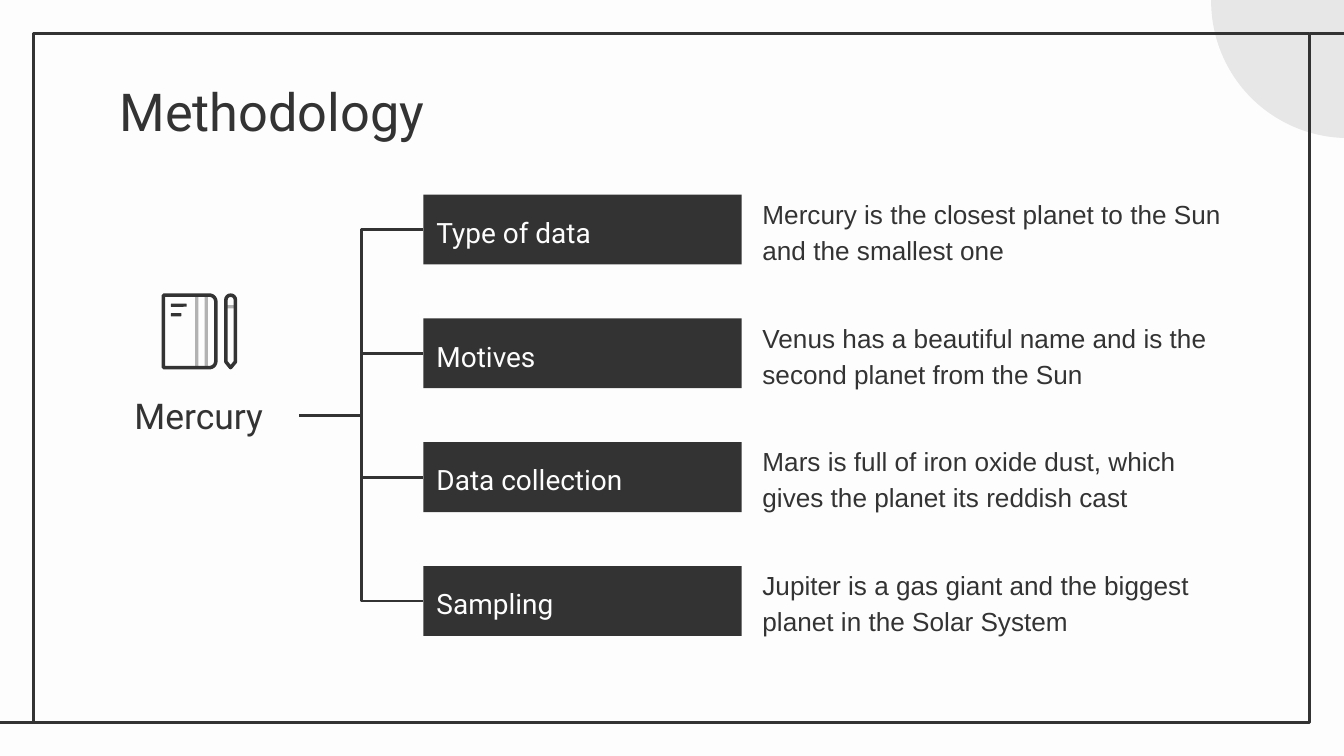
import math
from dataclasses import dataclass

from lxml import etree
from pptx import Presentation
from pptx import util as u
from pptx.dml import color
from pptx.enum import shapes, text
from pptx.oxml import ns

Cm = u.Cm


@dataclass(frozen=True)
class Theme:
    paper: str = "FDFDFD"
    ink: str = "333333"
    pale: str = "E8E7E7"
    grey: str = "B2B2B2"
    heading_font: str = "Roboto"
    body_font: str = "Arial"
    title_size: float = 28
    topic_size: float = 19
    label_size: float = 15
    body_size: float = 14
    rule: float = 1.5
    icon_stroke: float = 1.9


@dataclass(frozen=True)
class Box:
    """A region of the page, in centimetres."""
    left: float
    top: float
    width: float
    height: float

    @property
    def right(self):
        return self.left + self.width

    @property
    def bottom(self):
        return self.top + self.height

    def lengths(self):
        return [Cm(n) for n in (self.left, self.top, self.width, self.height)]


THEME = Theme()
ITEMS = [
    ("Type of data", "Mercury is the closest planet to the Sun and the smallest one"),
    ("Motives", "Venus has a beautiful name and is the second planet from the Sun"),
    ("Data collection", "Mars is full of iron oxide dust, which gives the planet its reddish cast"),
    ("Sampling", "Jupiter is a gas giant and the biggest planet in the Solar System"),
]


def rgb(value):
    return color.RGBColor.from_string(value)


def write(shape, words, size, font=THEME.heading_font, ink=THEME.ink,
          align=text.PP_ALIGN.LEFT, anchor=text.MSO_ANCHOR.MIDDLE, spacing=1.15):
    frame = shape.text_frame
    frame.word_wrap = True
    frame.auto_size = text.MSO_AUTO_SIZE.NONE
    frame.vertical_anchor = anchor
    frame.margin_left = frame.margin_right = Cm(0.25)
    frame.margin_top = frame.margin_bottom = Cm(0.25)
    para = frame.paragraphs[0]
    para.alignment = align
    para.line_spacing = spacing
    span = para.add_run()
    span.text = words
    span.font.name = font
    span.font.size = u.Pt(size)
    span.font.color.rgb = rgb(ink)


def style(shape, fill=None, line=None, weight=THEME.rule):
    shape.shadow.inherit = False
    if fill:
        shape.fill.solid()
        shape.fill.fore_color.rgb = rgb(fill)
    else:
        shape.fill.background()
    if line:
        shape.line.color.rgb = rgb(line)
        shape.line.width = u.Pt(weight)
    else:
        shape.line.fill.background()
    return shape


def add_block(page, box, kind=shapes.MSO_SHAPE.RECTANGLE, **look):
    return style(page.shapes.add_shape(kind, *box.lengths()), **look)


def add_text(page, box, words, size, **look):
    shape = page.shapes.add_textbox(*box.lengths())
    write(shape, words, size, **look)
    return shape


def add_rule(page, start=(0, 0), end=(0, 0), kind=shapes.MSO_CONNECTOR.STRAIGHT):
    rule = page.shapes.add_connector(kind, *[Cm(n) for n in (*start, *end)])
    rule.line.color.rgb = rgb(THEME.ink)
    rule.line.width = u.Pt(THEME.rule)
    etree.SubElement(rule._element.spPr, ns.qn("a:effectLst"))
    return rule


def arc(x, y, radius, first, last, steps=8):
    """Points on a circle, clockwise on the page, angles in degrees."""
    angles = [math.radians(first + (last - first) * i / steps) for i in range(steps + 1)]
    return [(x + radius * math.cos(a), y + radius * math.sin(a)) for a in angles]


def add_outline(page, box, points):
    placed = [(Cm(box.left + x), Cm(box.top + y)) for x, y in points]
    builder = page.shapes.build_freeform(*placed[0])
    builder.add_line_segments(placed[1:], close=True)
    style(builder.convert_to_shape(), line=THEME.ink, weight=THEME.icon_stroke)


def draw_frame(page, box, page_width):
    """Corner circle, border and the two rules that run off the page."""
    add_block(page, Box(22.89, -2.57, 5.18, 5.18), shapes.MSO_SHAPE.OVAL, fill=THEME.pale)
    add_block(page, box, line=THEME.ink)
    add_rule(page, (box.left, box.bottom), (0, box.bottom))
    add_rule(page, (page_width, box.top), (box.right, box.top))


def draw_title(page, box, words):
    title = page.shapes.title
    title.left, title.top, title.width, title.height = box.lengths()
    write(title, words, THEME.title_size, anchor=text.MSO_ANCHOR.TOP, spacing=1.0)


def draw_icon(page, box):
    """Notebook and pencil."""
    def part(x, y, width, height, **look):
        add_block(page, Box(box.left + x, box.top + y, width, height), **look)

    # Cover stripes and pencil band
    for x in (0.64, 0.82):
        part(x, 0.05, 0.06, 1.34, fill=THEME.grey)
    part(1.22, 0.23, 0.18, 0.06, fill=THEME.grey)

    # Notebook, rounded on its right side
    low, high, right, radius = 0.04, box.height - 0.04, 1.03, 0.12
    add_outline(page, box, [
        (low, high), (low, low),
        *arc(right - radius, low + radius, radius, -90, 0),
        *arc(right - radius, high - radius, radius, 0, 90),
    ])

    # Pencil, with a round top and a pointed tip
    middle, half = 1.31, 0.09
    add_outline(page, box, [
        (middle - half, 1.3), *arc(middle, low + half, half, 180, 360),
        (middle + half, 1.3), (middle, high),
    ])

    # Lines of writing
    for y, width in ((0.2, 0.3), (0.38, 0.2)):
        part(0.18, y, width, 0.06, kind=shapes.MSO_SHAPE.ROUNDED_RECTANGLE, fill=THEME.ink)


def draw_topic(page, box, words):
    """Icon above the name; returns the name's box for the connectors."""
    draw_icon(page, Box(box.left + 1.2, box.top, 1.44, 1.45))
    name = Box(box.left, box.bottom - 1.32, box.width, 1.32)
    return add_text(page, name, words, THEME.topic_size,
                    align=text.PP_ALIGN.CENTER, anchor=text.MSO_ANCHOR.BOTTOM)


def draw_items(page, box, topic, items):
    """Labels spread evenly down the box, each joined to the topic."""
    label_width, label_height, text_height = 6.02, 1.32, 1.96
    pitch = (box.height - label_height) / (len(items) - 1)
    text_left = box.left + label_width + 0.14
    for row, (label, detail) in enumerate(items):
        top = box.top + row * pitch
        block = add_block(page, Box(box.left, top, label_width, label_height), fill=THEME.ink)
        write(block, label, THEME.label_size, ink=THEME.paper)
        detail_box = Box(text_left, top - (text_height - label_height) / 2,
                         box.right - text_left, text_height)
        add_text(page, detail_box, detail, THEME.body_size, font=THEME.body_font)
        branch = add_rule(page, kind=shapes.MSO_CONNECTOR.ELBOW)
        branch.begin_connect(topic, 3)
        branch.end_connect(block, 1)


def main():
    deck = Presentation()
    deck.slide_width, deck.slide_height = Cm(25.4), Cm(14.29)
    page = deck.slides.add_slide(deck.slide_layouts[5])
    page.background.fill.solid()
    page.background.fill.fore_color.rgb = rgb(THEME.paper)

    draw_frame(page, Box(0.64, 0.64, 24.11, 13.02), page_width=25.4)
    draw_title(page, Box(2.01, 1.24, 21.41, 1.6), "Methodology")
    topic = draw_topic(page, Box(1.85, 5.54, 3.81, 2.97), "Mercury")
    draw_items(page, Box(8, 3.68, 15.41, 8.34), topic, ITEMS)
    deck.save("out.pptx")


if __name__ == "__main__":
    main()
